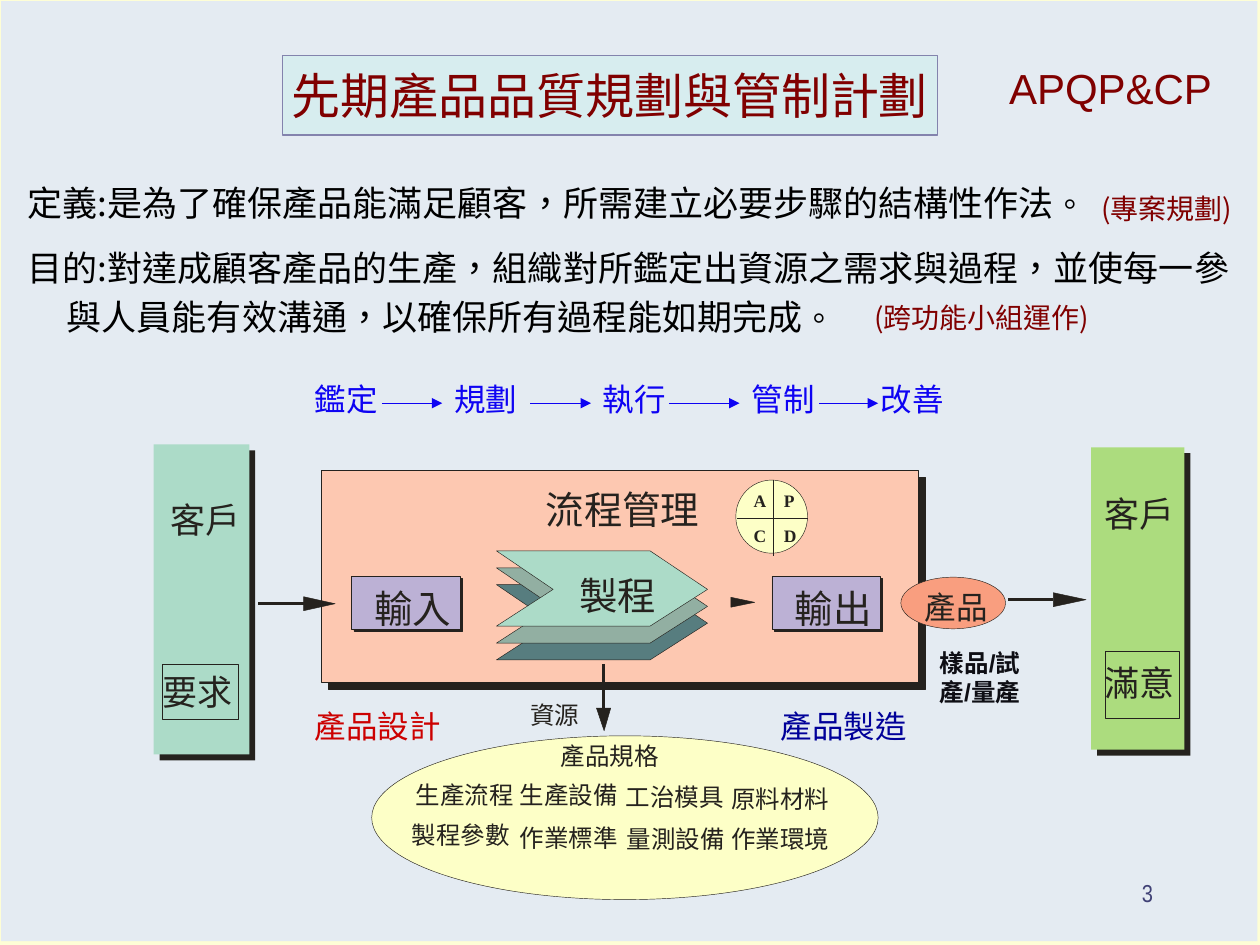
from lxml.etree import SubElement
from pptx import Presentation
from pptx.dml.color import RGBColor
from pptx.enum.lang import MSO_LANGUAGE_ID
from pptx.enum.shapes import MSO_CONNECTOR, MSO_SHAPE
from pptx.enum.text import MSO_ANCHOR, MSO_AUTO_SIZE, PP_ALIGN
from pptx.oxml.ns import qn
from pptx.util import Pt

INK, MAROON, BLUE = "25221E", "800000", "0E03F3"
CREAM, MINT, LILAC = "FDFFC7", "ACDBC8", "BCB1D5"
CJK, SANS = "Noto Sans CJK JP", "Arial"
INSET = (7.2, 3.6)
HAIRLINE = 0.25


def color(hex_code):
    return RGBColor.from_string(hex_code)


def style_run(run, size, hex_code, font, bold=False):
    run.font.size = Pt(size)
    run.font.name = font
    run.font.bold = bold
    run.font.color.rgb = color(hex_code)
    run.font.language_id = MSO_LANGUAGE_ID.TRADITIONAL_CHINESE


def paint(shape, fill=None, line=None, width=HAIRLINE):
    shape.shadow.inherit = False
    if fill:
        shape.fill.solid()
        shape.fill.fore_color.rgb = color(fill)
    else:
        shape.fill.background()
    if line:
        shape.line.color.rgb = color(line)
        shape.line.width = Pt(width)
    else:
        shape.line.fill.background()


def add_block(slide, box, fill=None, line=None, kind=MSO_SHAPE.RECTANGLE):
    block = slide.shapes.add_shape(kind, *map(Pt, box))
    paint(block, fill, line)


def add_raised_block(slide, box, offset, fill, line=None):
    """Block in front of a dark one that is shifted down and right."""
    left, top, width, height = box
    add_block(slide, (left + offset, top + offset, width, height), INK, line)
    add_block(slide, box, fill, line)


def add_polygon(slide, points, fill):
    builder = slide.shapes.build_freeform(*map(Pt, points[0]), scale=1.0)
    builder.add_line_segments([(Pt(x), Pt(y)) for x, y in points[1:]], close=True)
    paint(builder.convert_to_shape(), fill, INK)


def add_line(slide, start, end, hex_code, width, arrow=False):
    line = slide.shapes.add_connector(MSO_CONNECTOR.STRAIGHT, *map(Pt, start + end))
    line.line.color.rgb = color(hex_code)
    line.line.width = Pt(width)
    if arrow:
        SubElement(line.line._get_or_add_ln(), qn("a:tailEnd"), type="triangle")
    SubElement(line._element.spPr, qn("a:effectLst"))


def set_margins(frame, inset):
    frame.margin_left = frame.margin_right = Pt(inset[0])
    frame.margin_top = frame.margin_bottom = Pt(inset[1])


def add_text(slide, box, paragraphs, inset=(0, 0), wrap=False):
    """Each paragraph is a list of runs (text, size, colour, font, bold)."""
    frame = slide.shapes.add_textbox(*map(Pt, box)).text_frame
    set_margins(frame, inset)
    frame.word_wrap = wrap
    frame.auto_size = MSO_AUTO_SIZE.NONE if wrap else MSO_AUTO_SIZE.SHAPE_TO_FIT_TEXT
    for index, runs in enumerate(paragraphs):
        paragraph = frame.add_paragraph() if index else frame.paragraphs[0]
        for words, *style in runs:
            run = paragraph.add_run()
            run.text = words
            style_run(run, *style)
    return frame


def add_label(slide, left, top, words, size):
    """Dark diagram label, a little wider than its characters."""
    box = (left, top, len(words) * size + 2, size * 1.21)
    add_text(slide, box, [[(words, size, INK, CJK)]])


def add_heading(slide):
    title = slide.shapes.title
    title.left, title.top, title.width, title.height = map(Pt, (161.3, 31.7, 374.4, 45.4))
    paint(title, "D7EDEF", "8383AD", 0.75)
    frame = title.text_frame
    frame.text = "先期產品品質規劃與管制計劃"
    set_margins(frame, (2, 3.6))
    frame.word_wrap = False
    frame.auto_size = MSO_AUTO_SIZE.NONE
    frame.vertical_anchor = MSO_ANCHOR.MIDDLE
    frame.paragraphs[0].alignment = PP_ALIGN.CENTER
    style_run(frame.paragraphs[0].runs[0], 28, MAROON, SANS)
    slide.shapes._spTree.append(title._element)
    add_text(slide, (569.5, 32, 130.3, 36), [[("APQP&CP", 24, MAROON, SANS)]], INSET)


def add_definitions(slide):
    black = "000000"
    stop = ("。", 18, black, SANS)
    add_text(slide, (8.6, 100.1, 632.9, 53.3), [[
        ("定義", 20, black, SANS),
        (":是為了確保產品能滿足顧客，所需建立必要步驟的結構性作法", 20, black, CJK),
        stop]], INSET)
    purpose = add_text(slide, (8.6, 133.9, 715, 87.1), [
        [("目的", 20, black, SANS),
         (":對達成顧客產品的生產，組織對所鑑定出資源之需求與過程，並使每一參", 20, black, CJK)],
        [("與人員能有效溝通，以確保所有過程能如期完成", 20, black, CJK), stop]], INSET)
    for paragraph in purpose.paragraphs:
        paragraph.line_spacing = 1.15
    purpose.paragraphs[1]._p.get_or_add_pPr().set("marL", str(Pt(22.5)))
    for left, top, width, note in ((622.1, 105.8, 101.5, "(專案規劃)"),
                                   (492.5, 168, 149.8, "(跨功能小組運作)")):
        add_text(slide, (left, top, width, 26.6), [[(note, 16, MAROON, CJK)]], INSET)


def add_steps(slide):
    steps = ((172.8, "鑑定"), (252.4, "規劃"), (337.4, "執行"), (422.6, "管制"), (496.1, "改善"))
    for left, step in steps:
        add_text(slide, (left, 213.4, 50.4, 28.8), [[(step, 18, BLUE, SANS)]], INSET)
    for start, end in ((218.2, 252.7), (303.1, 337.7), (382.3, 422.6), (468, 501.8)):
        add_line(slide, (start, 230.4), (end, 230.4), BLUE, 0.75, arrow=True)


def add_customer(slide, panel, fill, frame_box, name_at, need_at, need):
    add_raised_block(slide, panel, 3.4, fill)
    add_label(slide, *name_at, "客戶", 20)
    add_label(slide, *need_at, need, 20)
    add_block(slide, frame_box, line=INK)


def add_cycle(slide):
    add_block(slide, (420.5, 274.3, 41, 41.8), CREAM, INK, MSO_SHAPE.OVAL)
    add_line(slide, (442.1, 274.3), (442.1, 317.5), INK, HAIRLINE)
    add_line(slide, (461.5, 295.9), (421.2, 295.9), INK, HAIRLINE)
    for index, letter in enumerate("APCD"):
        row, column = divmod(index, 2)
        box = (430.6 + 17.3 * column, 280.1 + 19.8 * row, 7.2, 12.2)
        add_text(slide, box, [[(letter, 10, INK, "Times New Roman", True)]])


def add_process(slide):
    add_raised_block(slide, (183.6, 268.6, 341.3, 121.3), 4, "FDC8B1", INK)
    add_label(slide, 311.8, 277.9, "流程管理", 22)
    for top, fill in ((334.1, "577D7F"), (324.5, "92AFA2"), (314.8, MINT)):
        add_polygon(slide, [(283.7, top), (371.5, top), (404.3, top + 22), (371.5, top + 43),
                            (283.7, top + 43), (316.1, top + 22)], fill)
    add_label(slide, 331.2, 326.9, "製程", 22)
    for left, name in ((200.9, "輸入"), (441.1, "輸出")):
        add_raised_block(slide, (left, 329.2, 61.9, 30.2), 1.4, LILAC, INK)
        add_label(slide, left + 13, 334.1, name, 22)
    add_block(slide, (514.8, 329.8, 59.8, 29.5), "F99E7F", INK, MSO_SHAPE.OVAL)
    add_label(slide, 528.5, 336.2, "產品", 18)


def add_flow_arrows(slide):
    for start, head, tip, middle in ((147.6, 173.5, 191.5, 345), (576, 601.9, 620.6, 342.7)):
        add_line(slide, (start, middle), (head, middle), INK, 1.75)
        add_polygon(slide, [(head, middle - 4), (tip, middle), (head, middle + 4)], INK)
    add_polygon(slide, [(417.6, 341.3), (431.3, 344.2), (417.6, 347)], INK)
    add_line(slide, (344.9, 379.4), (344.9, 405), INK, 2)
    add_polygon(slide, [(340.8, 404.6), (349, 404.6), (345.2, 417.6)], INK)


def add_resources(slide):
    add_block(slide, (212.4, 420.5, 289.4, 93.6), CREAM, INK, MSO_SHAPE.OVAL)
    labels = ((303.1, 400.3, "資源"), (320.4, 423.4, "產品規格"),
              (237.6, 445.7, "生產流程"), (296.9, 445.7, "生產設備"),
              (357.5, 447.1, "工治模具"), (417.9, 447.8, "原料材料"),
              (235.4, 468.7, "製程參數"), (296.9, 470.2, "作業標準"),
              (358.2, 470.9, "量測設備"), (417.9, 470.9, "作業環境"))
    for left, top, name in labels:
        add_label(slide, left, top, name, 14)


def add_captions(slide):
    for left, name, hex_code in ((172.8, "產品設計", "CC0000"), (439.2, "產品製造", "000099")):
        add_text(slide, (left, 400.3, 86.4, 28.8), [[(name, 18, hex_code, SANS)]], INSET)
    add_text(slide, (529.9, 366.5, 79.2, 41),
             [[("樣品/試產/量產", 14, "0E0E14", SANS, True)]], INSET, wrap=True)
    number = add_text(slide, (516.2, 486, 149.8, 36),
                      [[("3", 14, "404176", "Arial Narrow")]], INSET, wrap=True)
    number.vertical_anchor = MSO_ANCHOR.BOTTOM
    number.paragraphs[0].alignment = PP_ALIGN.RIGHT


def main():
    deck = Presentation()
    deck.slide_width, deck.slide_height = Pt(720), Pt(540)
    slide = deck.slides.add_slide(deck.slide_layouts[5])
    slide.background.fill.solid()
    slide.background.fill.fore_color.rgb = color("FEFED6")
    add_block(slide, (0.7, 0.7, 717.8, 537.1), "E4EBF2")
    add_heading(slide)
    add_definitions(slide)
    add_steps(slide)
    add_process(slide)
    add_cycle(slide)
    add_customer(slide, (87.8, 254, 54.7, 177.1), MINT, (92.9, 379.8, 43.2, 31),
                 (97.6, 285.1), (92.9, 383), "要求")
    add_customer(slide, (623.5, 255.6, 53.3, 172.8), "ACDC7E", (631.4, 372, 42.5, 38.2),
                 (631.4, 281.5), (631.4, 378), "滿意")
    add_flow_arrows(slide)
    add_resources(slide)
    add_captions(slide)
    deck.save("out.pptx")


if __name__ == "__main__":
    main()
